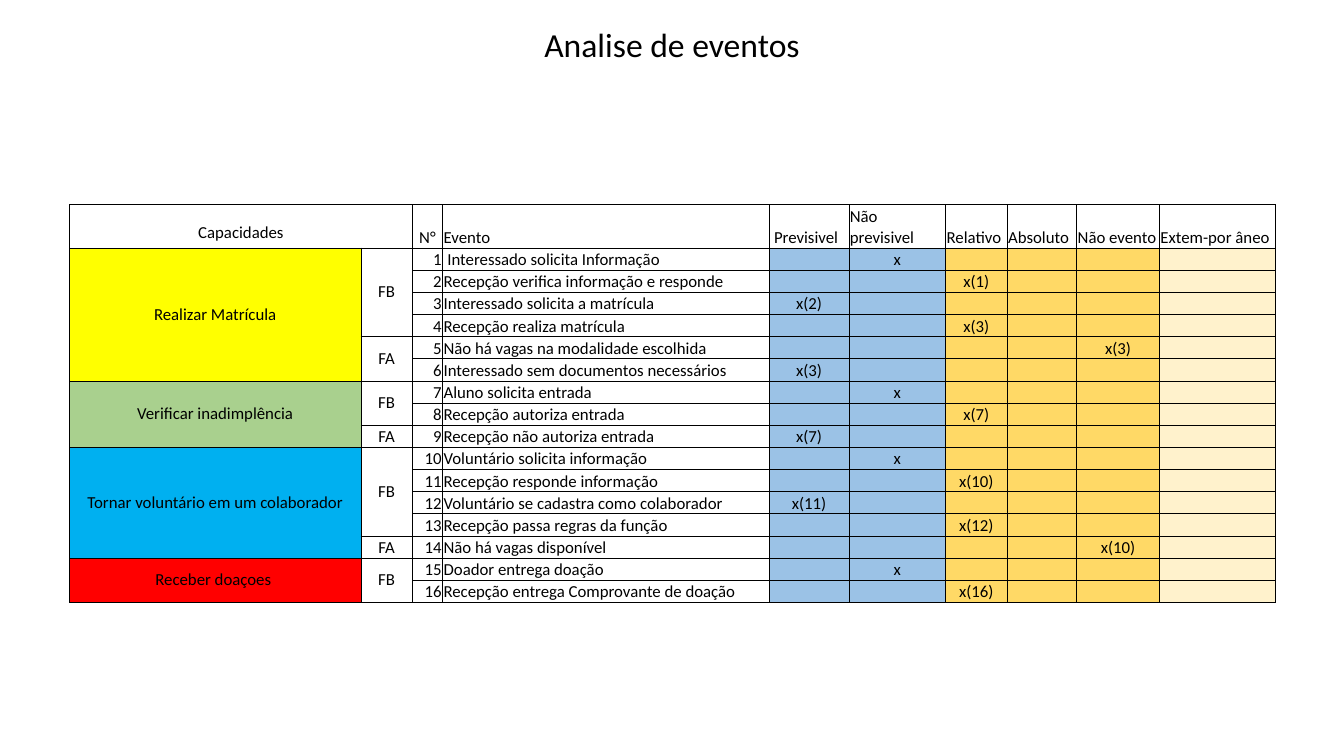
from lxml import etree
from pptx import Presentation
from pptx.dml.color import RGBColor
from pptx.enum.text import MSO_ANCHOR, PP_ALIGN
from pptx.oxml.ns import qn
from pptx.util import Inches, Pt

LEFT, CENTER, RIGHT = PP_ALIGN.LEFT, PP_ALIGN.CENTER, PP_ALIGN.RIGHT
TIGHT = (0.01, 0.01, 0.01, 0)
ROOMY = (0.11, 0.05, 0.11, 0.05)
HEADER_HEIGHT, ROW_HEIGHT = 0.43, 0.22
COLUMN_WIDTHS = [2.89, 0.51, 0.3, 3.24, 0.79, 0.96, 0.61, 0.69, 0.82, 1.15]
HEADINGS = ["N°", "Evento", "\u00a0Previsivel", "Não previsivel", "Relativo",
            "Absoluto", "Não evento", "Extem-por âneo"]
PREDICTABLE, UNPREDICTABLE, RELATIVE, NON_EVENT = 4, 5, 6, 8
MARK_FILLS = dict(enumerate(["9BC2E6"] * 2 + ["FFD966"] * 3 + ["FFF2CC"], PREDICTABLE))
CAPABILITIES = [
    ("Realizar Matrícula", "FFFF00", [
        ("FB", [(" Interessado solicita Informação", UNPREDICTABLE, "x"),
                ("Recepção verifica informação e responde", RELATIVE, "x(1)"),
                ("Interessado solicita a matrícula", PREDICTABLE, "x(2)"),
                ("Recepção realiza matrícula", RELATIVE, "x(3)")]),
        ("FA", [("Não há vagas na modalidade escolhida", NON_EVENT, "x(3)"),
                ("Interessado sem documentos necessários", PREDICTABLE, "x(3)")])]),
    ("Verificar inadimplência", "A9D08E", [
        ("FB", [("Aluno solicita entrada", UNPREDICTABLE, "x"),
                ("Recepção autoriza entrada", RELATIVE, "x(7)")]),
        ("FA", [("Recepção não autoriza entrada", PREDICTABLE, "x(7)")])]),
    ("Tornar voluntário em um colaborador", "00B0F0", [
        ("FB", [("Voluntário solicita informação", UNPREDICTABLE, "x"),
                ("Recepção responde informação", RELATIVE, "x(10)"),
                ("Voluntário se cadastra como colaborador", PREDICTABLE, "x(11)"),
                ("Recepção passa regras da função", RELATIVE, "x(12)")]),
        ("FA", [("Não há vagas disponível", NON_EVENT, "x(10)")])]),
    ("Receber doaçoes\u00a0", "FF0000", [
        ("FB", [("Doador entrega doação", UNPREDICTABLE, "x"),
                ("Recepção entrega Comprovante de doação", RELATIVE, "x(16)")])]),
]


def color(value):
    return RGBColor.from_string(value)


class SlideBuilder:
    """Holds the text style and the current slide, and adds elements to it."""

    def __init__(self, slide, font="Calibri", ink="000000", size=12):
        self.slide, self.font, self.ink, self.size = slide, font, ink, size

    def set_text(self, paragraph, text, align, size):
        paragraph.alignment = align
        if text:
            run = paragraph.add_run()
            run.text = text
            run.font.name, run.font.size = self.font, Pt(size)
            run.font.color.rgb = color(self.ink)
        else:
            etree.SubElement(paragraph._p, qn("a:endParaRPr"), sz=str(size * 100))

    def title(self, text, left, top, width, height):
        box = self.slide.shapes.add_textbox(
            Inches(left), Inches(top), Inches(width), Inches(height))
        box.text_frame.word_wrap = True
        self.set_text(box.text_frame.paragraphs[0], text, CENTER, 24)

    def table(self, left, top, widths, heights):
        frame = self.slide.shapes.add_table(
            len(heights), len(widths), Inches(left), Inches(top),
            Inches(sum(widths)), Inches(sum(heights)))
        table = frame.table
        table.first_row = table.horz_banding = False
        for column, width in zip(table.columns, widths):
            column.width = Inches(width)
        for row, height in zip(table.rows, heights):
            row.height = Inches(height)
        return table

    def cell(self, cell, text="", align=LEFT, fill=None,
             anchor=MSO_ANCHOR.BOTTOM, insets=TIGHT):
        self.set_text(cell.text_frame.paragraphs[0], text, align, self.size)
        cell.vertical_anchor = anchor
        (cell.margin_left, cell.margin_top,
         cell.margin_right, cell.margin_bottom) = map(Inches, insets)
        if fill:
            cell.fill.solid()
            cell.fill.fore_color.rgb = color(fill)
        else:
            cell.fill.background()
        self.borders(cell)

    def borders(self, cell):
        properties = cell._tc.get_or_add_tcPr()
        for index, side in enumerate(("lnL", "lnR", "lnT", "lnB")):
            line = etree.Element(qn("a:" + side), w=str(Pt(0.5)))
            solid = etree.SubElement(line, qn("a:solidFill"))
            etree.SubElement(solid, qn("a:srgbClr"), val=self.ink)
            properties.insert(index, line)

    def group(self, table, first, count, column, text, fill=None, insets=ROOMY):
        for row in range(first, first + count):
            self.cell(table.cell(row, column), text if row == first else "",
                      CENTER, fill, MSO_ANCHOR.MIDDLE,
                      insets if row == first else TIGHT)
        if count > 1:
            table.cell(first, column).merge(table.cell(first + count - 1, column))


def fill_event(builder, table, row, event, mark_column, mark):
    builder.cell(table.cell(row, 2), str(row), RIGHT)
    builder.cell(table.cell(row, 3), event)
    for column, fill in MARK_FILLS.items():
        builder.cell(table.cell(row, column),
                     mark if column == mark_column else "", CENTER, fill)


def fill_events_table(builder, table):
    builder.cell(table.cell(0, 0), "Capacidades", CENTER, insets=ROOMY)
    builder.cell(table.cell(0, 1))
    table.cell(0, 0).merge(table.cell(0, 1))
    for column, heading in enumerate(HEADINGS, 2):
        builder.cell(table.cell(0, column), heading, CENTER if column == 2 else LEFT)
    row = 1
    for capability, fill, flows in CAPABILITIES:
        count = sum(len(events) for _, events in flows)
        builder.group(table, row, count, 0, capability, fill)
        for flow, events in flows:
            builder.group(table, row, len(events), 1, flow,
                          insets=ROOMY if len(events) > 1 else TIGHT)
            for event in events:
                fill_event(builder, table, row, *event)
                row += 1


def main():
    presentation = Presentation()
    presentation.slide_width, presentation.slide_height = Inches(13.33), Inches(7.5)
    builder = SlideBuilder(presentation.slides.add_slide(presentation.slide_layouts[6]))
    event_count = sum(len(events) for _, _, flows in CAPABILITIES for _, events in flows)
    heights = [HEADER_HEIGHT] + [ROW_HEIGHT] * event_count
    fill_events_table(builder, builder.table(0.69, 2.03, COLUMN_WIDTHS, heights))
    builder.title("Analise de eventos", 3.95, 0.19, 5.43, 0.5)
    presentation.save("out.pptx")


main()
